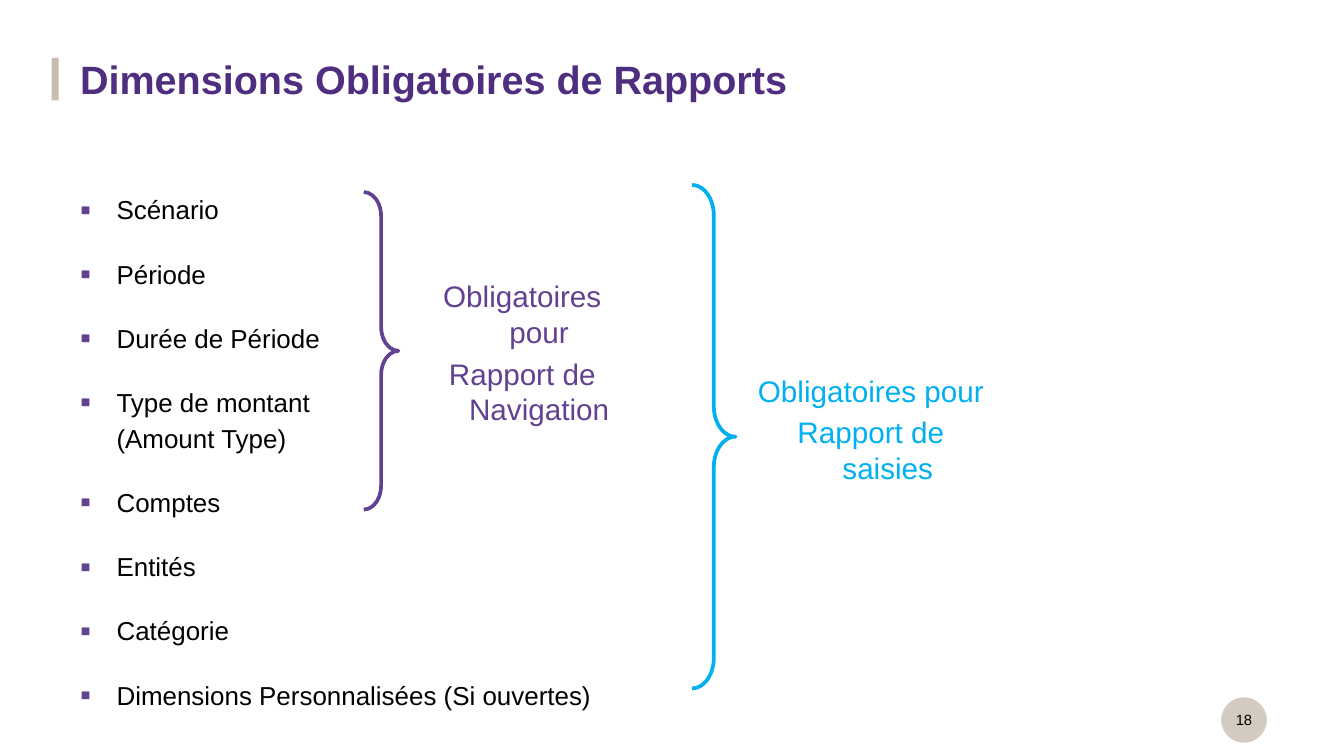
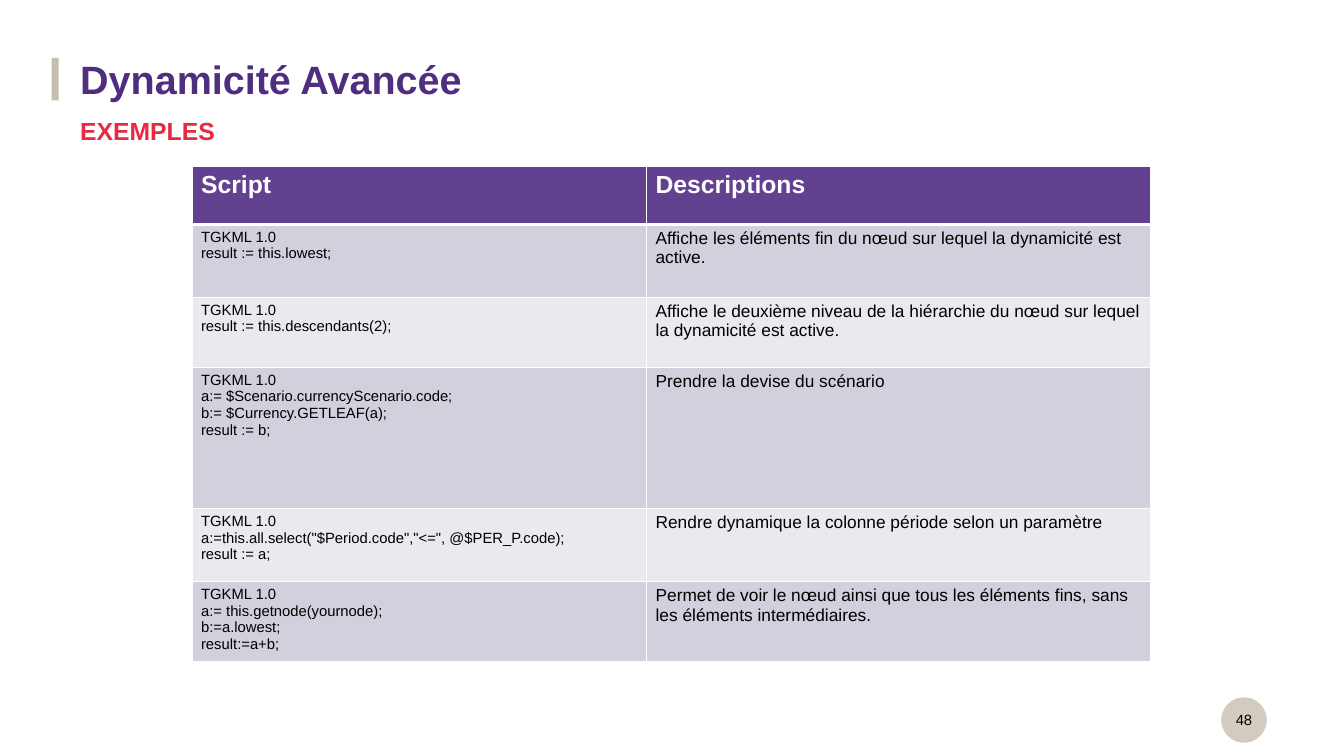
import lxml.etree
import pptx
import pptx.dml.color
import pptx.enum.shapes
import pptx.enum.text
import pptx.oxml
import pptx.oxml.ns
import pptx.util

SHAPE = pptx.enum.shapes.MSO_SHAPE
ALIGN = pptx.enum.text.PP_ALIGN
ANCHOR = pptx.enum.text.MSO_ANCHOR
qn = pptx.oxml.ns.qn
Pt, Inches = pptx.util.Pt, pptx.util.Inches

PURPLE, TITLE, CYAN, RED = "624191", "4F2D7F", "00B0F0", "E92841"
BAR, DISC, BLACK, WHITE = "C8BEAF", "D3CBBF", "000000", "FFFFFF"
BANDS = ["D3CFDC", "EAE9EE"]
FONT = "Arial"
LEFT, WIDTH = 5.96, 88.68  # text column, in percent of the slide's width


def rgb(value):
    return pptx.dml.color.RGBColor.from_string(value)


def sub(parent, tag, **attributes):
    return lxml.etree.SubElement(parent, qn(tag), attributes)


def indent(p, inches):
    """Hang the first line of a paragraph by the given length."""
    pPr = p._p.get_or_add_pPr()
    pPr.set("marL", str(Inches(inches)))
    pPr.set("indent", str(-Inches(inches)))
    return pPr


def bullet(p):
    pPr = indent(p, 0.41)
    sub(sub(pPr, "a:buClr"), "a:srgbClr", val=PURPLE)
    sub(pPr, "a:buSzPct", val="120000")
    sub(pPr, "a:buFont", typeface=FONT)
    sub(pPr, "a:buChar", char="▪")


def border(cell, bottom):
    """Draw white cell edges, the lower one with its own width in points."""
    tcPr = cell._tc.get_or_add_tcPr()
    for tag, width in (("a:lnL", 1), ("a:lnR", 1), ("a:lnT", 1), ("a:lnB", bottom)):
        ln = sub(tcPr, tag, w=str(Pt(width)))
        sub(sub(ln, "a:solidFill"), "a:srgbClr", val=WHITE)


class Deck:
    """Holds the style and the current slide; boxes are in percent of its size."""

    def __init__(self, width, height):
        self.prs = pptx.Presentation()
        self.prs.slide_width, self.prs.slide_height = Inches(width), Inches(height)
        self.s = None

    def x(self, share):
        return round(self.prs.slide_width * share / 100)

    def y(self, share):
        return round(self.prs.slide_height * share / 100)

    def box(self, x, y, w, h):
        return self.x(x), self.y(y), self.x(w), self.y(h)

    def slide(self, title, number):
        self.s = self.prs.slides.add_slide(self.prs.slide_layouts[6])
        self.shape(SHAPE.RECTANGLE, (3.84, 7.65, 0.53, 5.65), fill=BAR)
        disc = self.shape(SHAPE.OVAL, (90.87, 92.24, 3.38, 6), fill=DISC)
        tf = disc.text_frame
        tf.margin_left = tf.margin_right = tf.margin_top = tf.margin_bottom = 0
        tf.vertical_anchor = ANCHOR.MIDDLE
        self.put_lines(tf, [str(number)], 12, BLACK, align=ALIGN.CENTER)
        self.text((LEFT, 6.82, WIDTH, 7.29), [title], 32, TITLE, bold=True,
                  margin=0, spacing=Pt(37.4))

    def shape(self, kind, box, fill=None, line=None):
        sp = self.s.shapes.add_shape(kind, *self.box(*box))
        sp.shadow.inherit = False
        if fill:
            sp.fill.solid()
            sp.fill.fore_color.rgb = rgb(fill)
        else:
            sp.fill.background()
        if line:
            sp.line.color.rgb = rgb(line)
            sp.line.width = Pt(3)
        else:
            sp.line.fill.background()
        return sp

    def brace(self, box, color):
        sp = self.shape(SHAPE.RIGHT_BRACE, box, line=color)
        sp.adjustments[0], sp.adjustments[1] = 0.7, 0.5

    def put_lines(self, tf, lines, size, color, bold=False, align=None, spacing=None, gap=0):
        tf.text = "\n".join(lines)
        for i, p in enumerate(tf.paragraphs):
            p.alignment = align
            if spacing:
                p.line_spacing = spacing
            if gap and i:
                p.space_before = Pt(gap)
            for r in p.runs:
                r.font.name, r.font.size, r.font.bold = FONT, Pt(size), bold
                r.font.color.rgb = rgb(color)

    def text(self, box, lines, size, color, margin=0.1, **style):
        tf = self.s.shapes.add_textbox(*self.box(*box)).text_frame
        tf.word_wrap = True
        tf.margin_left = tf.margin_right = Inches(margin)
        self.put_lines(tf, lines, size, color, **style)
        return tf

    def bullets(self, box, lines):
        tf = self.text(box, lines, 21, BLACK, margin=0, spacing=1.15, gap=23)
        for p in tf.paragraphs:
            bullet(p)

    def label(self, box, lines, color):
        tf = self.text(box, lines, 24, color, align=ALIGN.CENTER, gap=4.8)
        for p in tf.paragraphs:
            indent(p, 0.38)

    def table(self, x, y, widths, heights, rows):
        """Draw a header row, then banded rows of a script and its description."""
        frame = self.s.shapes.add_table(
            len(rows), len(widths), *self.box(x, y, sum(widths), sum(heights)))
        table = frame.table
        for column, width in zip(table.columns, widths):
            column.width = self.x(width)
        for i, (height, row) in enumerate(zip(heights, rows)):
            table.rows[i].height = self.y(height)
            for j, value in enumerate(row):
                cell = table.cell(i, j)
                border(cell, bottom=1 if i else 3)
                cell.fill.solid()
                cell.fill.fore_color.rgb = rgb(BANDS[(i - 1) % 2] if i else PURPLE)
                size = (12, 14)[j] if i else 20
                self.put_lines(cell.text_frame, value.split("\n"), size,
                               BLACK if i else WHITE, bold=not i)


def main():
    deck = Deck(15.11, 8.5)

    deck.slide("Dimensions Obligatoires de Rapports", 18)
    deck.bullets((LEFT, 24.47, WIDTH, 62.59), [
        "Scénario", "Période", "Durée de Période", "Type de montant\v(Amount Type)",
        "Comptes", "Entités", "Catégorie", "Dimensions Personnalisées (Si ouvertes)"])
    deck.label((31.11, 36.24, 15.49, 17.88),
               ["Obligatoires pour", "Rapport de Navigation"], PURPLE)
    deck.brace((27.07, 25.41, 2.58, 42), PURPLE)
    deck.brace((51.49, 24.47, 3.24, 66.59), CYAN)
    deck.label((55.66, 48.71, 18.27, 14.71),
               ["Obligatoires pour", "Rapport de saisies"], CYAN)

    deck.slide("Dynamicité Avancée", 48)
    deck.text((LEFT, 14.12, WIDTH, 4), ["EXEMPLES"], 20, RED, bold=True,
              margin=0, spacing=1.15)
    deck.table(14.3, 22, [33.82, 37.52], [7.65, 9.65, 9.29, 18.71, 9.65, 9.76], [
        ("Script", "Descriptions"),
        ("TGKML 1.0\nresult := this.lowest;",
         "Affiche les éléments fin du nœud sur lequel la dynamicité est active."),
        ("TGKML 1.0\nresult := this.descendants(2);",
         "Affiche le deuxième niveau de la hiérarchie du nœud sur lequel "
         "la dynamicité est active."),
        ("TGKML 1.0\na:= $Scenario.currencyScenario.code;\n"
         "b:= $Currency.GETLEAF(a);\nresult := b;",
         "Prendre la devise du scénario"),
        ('TGKML 1.0\na:=this.all.select("$Period.code","<=", @$PER_P.code);\nresult := a;',
         "Rendre dynamique la colonne période selon un paramètre"),
        ("TGKML 1.0\na:= this.getnode(yournode);\nb:=a.lowest;\nresult:=a+b;",
         "Permet de voir le nœud ainsi que tous les éléments fins, "
         "sans les éléments intermédiaires."),
    ])

    deck.prs.save("out.pptx")


if __name__ == "__main__":
    main()
